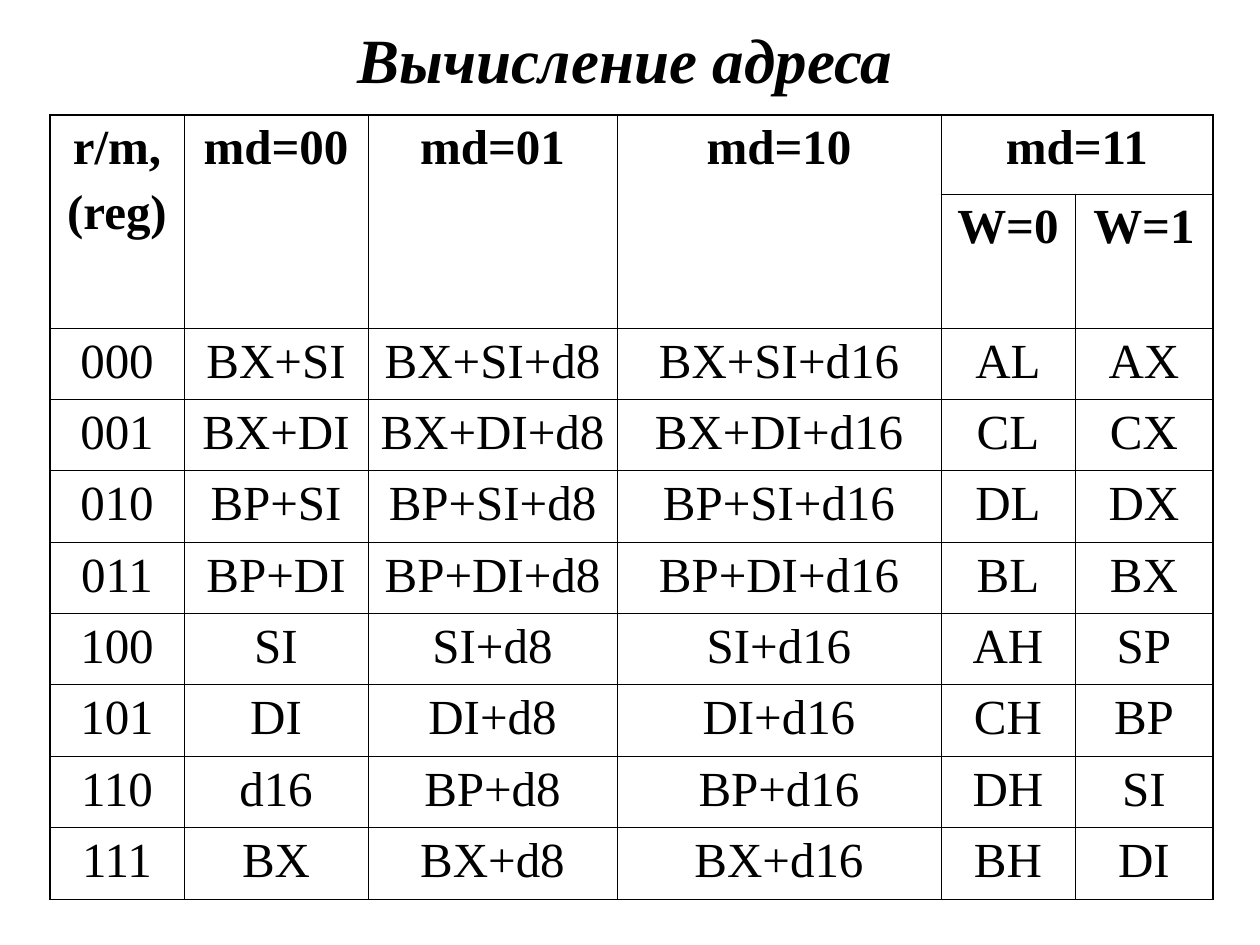
from lxml import etree
from pptx import Presentation
from pptx.dml.color import RGBColor
from pptx.enum.text import MSO_ANCHOR, PP_ALIGN
from pptx.oxml.ns import qn
from pptx.util import Emu, Pt

SCALE = 914400 // 126
BLACK = RGBColor(0, 0, 0)
CENTER, MIDDLE, TOP = PP_ALIGN.CENTER, MSO_ANCHOR.MIDDLE, MSO_ANCHOR.TOP
THIN, THICK = Pt(0.45), Pt(1.08)

BASE = {"name": "Times New Roman", "size": Pt(28), "bold": False}
HEAD = {**BASE, "bold": True}
TITLE = {**HEAD, "size": Pt(36), "italic": True}

WIDTHS = [134, 184, 249, 324, 134, 138]
HEADS = [79, 134]
BODY = 571
ROWS = [
    ["r/m,\n(reg)", "md=00", "md=01", "md=10", "md=11", ""],
    ["", "", "", "", "W=0", "W=1"],
    ["000", "BX+SI", "BX+SI+d8", "BX+SI+d16", "AL", "AX"],
    ["001", "BX+DI", "BX+DI+d8", "BX+DI+d16", "CL", "CX"],
    ["010", "BP+SI", "BP+SI+d8", "BP+SI+d16", "DL", "DX"],
    ["011", "BP+DI", "BP+DI+d8", "BP+DI+d16", "BL", "BX"],
    ["100", "SI", "SI+d8", "SI+d16", "AH", "SP"],
    ["101", "DI", "DI+d8", "DI+d16", "CH", "BP"],
    ["110", "d16", "BP+d8", "BP+d16", "DH", "SI"],
    ["111", "BX", "BX+d8", "BX+d16", "BH", "DI"],
]


def px(num):
    return Emu(num * SCALE)


def write(frame, text, style):
    frame.text = text
    for i, para in enumerate(frame.paragraphs):
        para.alignment = CENTER
        if i:
            para.space_before = Pt(6)
        for run in para.runs:
            for key, value in style.items():
                setattr(run.font, key, value)
            run.font.color.rgb = BLACK


def add_title(slide, text, box):
    frame = slide.shapes.add_textbox(*map(px, box)).text_frame
    frame.word_wrap = True
    frame.vertical_anchor = MIDDLE
    write(frame, text, TITLE)


def set_edges(cell, edges):
    """Draw the cell's sides; edges maps a side letter to its line width."""
    props = cell._tc.get_or_add_tcPr()
    for side, width in edges.items():
        line = etree.SubElement(props, qn("a:ln" + side), w=str(int(width)))
        fill = etree.SubElement(line, qn("a:solidFill"))
        etree.SubElement(fill, qn("a:srgbClr"), val=str(BLACK))


def add_grid(slide, left, top):
    count, cols = len(ROWS), len(WIDTHS)
    body = count - len(HEADS)
    marks = [BODY * i // body for i in range(body + 1)]
    heights = HEADS + [b - a for a, b in zip(marks, marks[1:])]
    box = (left, top, sum(WIDTHS), sum(heights))
    table = slide.shapes.add_table(count, cols, *map(px, box)).table
    table.first_row = table.horz_banding = False
    for col, width in zip(table.columns, WIDTHS):
        col.width = px(width)
    for row, height in zip(table.rows, heights):
        row.height = px(height)
    for c in range(4):
        table.cell(0, c).merge(table.cell(1, c))
    table.cell(0, 4).merge(table.cell(0, 5))

    for r, texts in enumerate(ROWS):
        for c, text in enumerate(texts):
            cell = table.cell(r, c)
            outer = {
                "L": c == 0,
                "R": c + cell.span_width == cols or c == cols - 1,
                "T": r == 0,
                "B": r == count - 1,
            }
            set_edges(cell, {k: THICK if v else THIN for k, v in outer.items()})
            cell.fill.background()
            cell.vertical_anchor = TOP
            # Tight lower margins keep the rows at their set heights.
            cell.margin_bottom = px(0 if r < len(HEADS) else 4)
            if text:
                write(cell.text_frame, text, HEAD if r < len(HEADS) else BASE)


def main():
    deck = Presentation()
    deck.slide_width, deck.slide_height = px(1260), px(945)
    slide = deck.slides.add_slide(deck.slide_layouts[6])
    add_title(slide, "Вычисление адреса", (25, 11, 1200, 95))
    add_grid(slide, 50, 115)
    deck.save("out.pptx")


if __name__ == "__main__":
    main()
